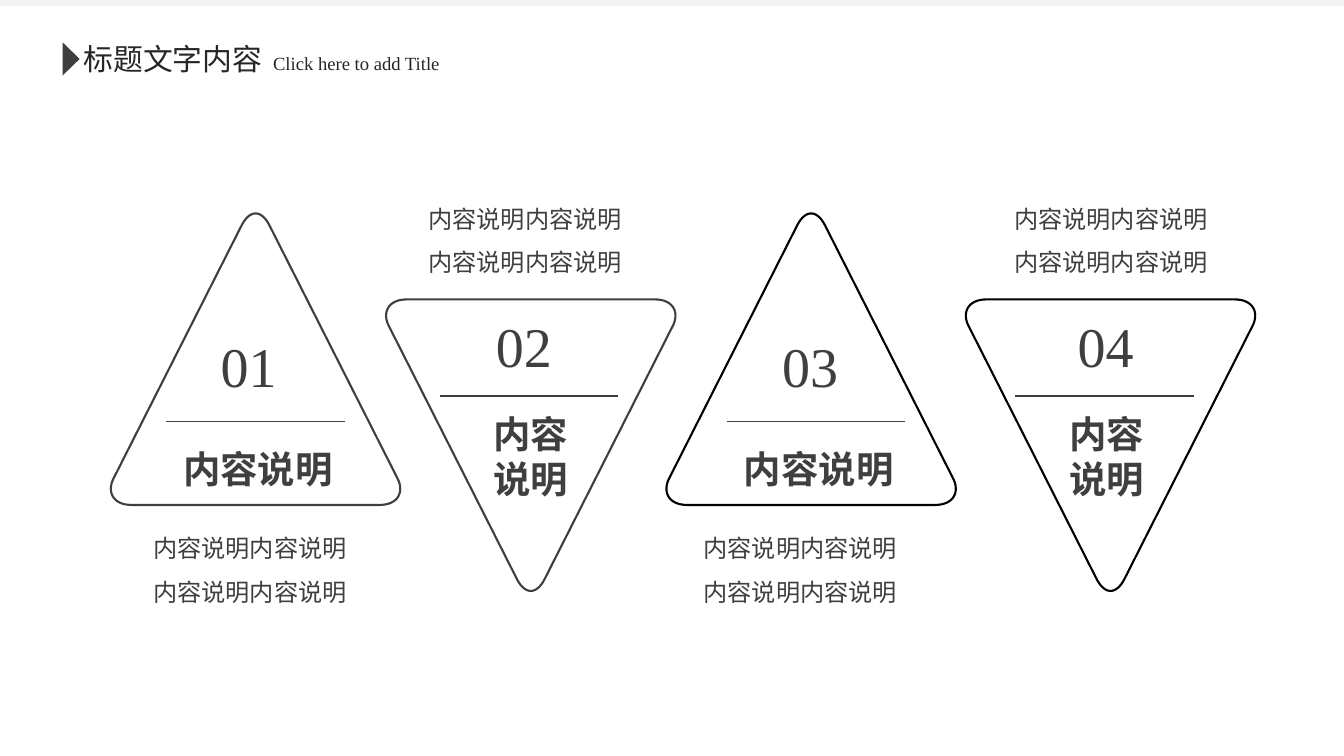
from dataclasses import dataclass

from lxml import etree
from pptx import Presentation
from pptx import util as u
from pptx.dml.color import RGBColor
from pptx.enum import shapes, text
from pptx.oxml.ns import qn

EMU_PER_PX = 9144
SLIDE_WIDTH, SLIDE_HEIGHT = 1333, 750
TRIANGLE_WIDTH, TRIANGLE_HEIGHT = 287, 289
CORNER_STEPS = 16


@dataclass(frozen=True)
class Theme:
    font: str = "Times New Roman"
    ink: str = "3F3F3F"
    heading: str = "262626"
    black: str = "000000"
    strip: str = "F2F2F2"
    number_size: float = 40
    label_size: float = 26.7
    caption_size: float = 17.3
    title_size: float = 21.3
    subtitle_size: float = 13.3
    outline_width: float = 1.5
    rule_width: float = 1


@dataclass(frozen=True)
class Item:
    number: str
    left: int
    upright: bool
    outline: str
    number_shift: int
    rule_shift: int
    caption_shift: int


@dataclass(frozen=True)
class Arrangement:
    top: int
    number_top: int
    rule_top: int
    label_box: tuple
    label_lines: tuple
    label_spacing: float
    caption_top: int


THEME = Theme()
UPRIGHT = Arrangement(212, 112, 206, (6, 203, 170, 69), ("内容说明",), 1.5, 298)
INVERTED = Arrangement(297, 7, 96, (43, 106, 95, 100), ("内容", "说明"), 1, -114)
CAPTION = ("内容说明内容说明",) * 2
ITEMS = (
    Item("01", 110, True, THEME.ink, 84, 55, 32),
    Item("03", 661, True, THEME.black, 90, 60, 27),
    Item("02", 383, False, THEME.ink, 84, 53, 32),
    Item("04", 958, False, THEME.black, 86, 49, 38),
)


def px(length):
    return u.Emu(round(length * EMU_PER_PX))


def rgb(value):
    return RGBColor.from_string(value)


def write_lines(shape, lines, size, color, bold=False, align=text.PP_ALIGN.LEFT,
                spacing=1, wrap=False):
    frame = shape.text_frame
    frame.word_wrap = wrap
    frame.auto_size = text.MSO_AUTO_SIZE.SHAPE_TO_FIT_TEXT
    frame.vertical_anchor = text.MSO_ANCHOR.TOP
    frame.text = "\n".join(lines)
    for paragraph in frame.paragraphs:
        paragraph.alignment = align
        paragraph.line_spacing = spacing
        paragraph.font.name = THEME.font
        paragraph.font.size = u.Pt(size)
        paragraph.font.bold = bold
        paragraph.font.color.rgb = rgb(color)


def add_text(slide, box, lines, size, color, **style):
    shape = slide.shapes.add_textbox(*map(px, box))
    write_lines(shape, lines, size, color, **style)


def add_solid(slide, kind, box, color):
    shape = slide.shapes.add_shape(kind, *map(px, box))
    shape.shadow.inherit = False
    shape.fill.solid()
    shape.fill.fore_color.rgb = rgb(color)
    shape.line.fill.background()
    return shape


def add_rule(slide, left, top, width):
    rule = slide.shapes.add_connector(
        shapes.MSO_CONNECTOR.STRAIGHT, px(left), px(top), px(left + width), px(top))
    rule.line.color.rgb = rgb(THEME.ink)
    rule.line.width = u.Pt(THEME.rule_width)
    etree.SubElement(rule._element.spPr, qn("a:effectLst"))


def curve(start, first, second, end):
    points = []
    for step in range(CORNER_STEPS + 1):
        t = step / CORNER_STEPS
        weights = ((1 - t) ** 3, 3 * t * (1 - t) ** 2, 3 * t * t * (1 - t), t ** 3)
        points.append(tuple(
            sum(weight * value for weight, value in zip(weights, axis))
            for axis in zip(start, first, second, end)))
    return points


def triangle_points(upright):
    right = curve((266, 289), (286, 289), (291, 275), (284, 262))
    apex = curve((157, 11), (149, -4), (138, -4), (130, 11))
    left = [(TRIANGLE_WIDTH - x, y) for x, y in reversed(right)]
    points = right + apex + left
    return points if upright else [(x, TRIANGLE_HEIGHT - y) for x, y in points]


def add_rounded_triangle(slide, left, top, upright, color):
    points = [(px(left + x), px(top + y)) for x, y in triangle_points(upright)]
    builder = slide.shapes.build_freeform(*points[0])
    builder.add_line_segments(points[1:], close=True)
    triangle = builder.convert_to_shape()
    triangle.shadow.inherit = False
    triangle.fill.background()
    triangle.line.color.rgb = rgb(color)
    triangle.line.width = u.Pt(THEME.outline_width)


def add_item(slide, item):
    plan = UPRIGHT if item.upright else INVERTED
    left, top = item.left, plan.top
    rule_left = left + item.rule_shift
    label_left, label_top, label_width, label_height = plan.label_box
    center = text.PP_ALIGN.CENTER
    add_rounded_triangle(slide, left, top, item.upright, item.outline)
    add_text(slide, (left + item.number_shift, top + plan.number_top, 105, 77),
             [item.number], THEME.number_size, THEME.ink, align=center, wrap=True)
    add_rule(slide, rule_left, top + plan.rule_top, 177)
    add_text(slide, (rule_left + label_left, top + label_top, label_width, label_height),
             plan.label_lines, THEME.label_size, THEME.ink, bold=True,
             align=center, spacing=plan.label_spacing)
    add_text(slide, (left + item.caption_shift, top + plan.caption_top, 215, 92),
             CAPTION, THEME.caption_size, THEME.ink, spacing=1.5)


def add_header(slide, left, top):
    title = slide.shapes.title
    title.left, title.top, title.width, title.height = map(px, (left + 11, top, 200, 46))
    write_lines(title, ["标题文字内容"], THEME.title_size, THEME.heading)
    marker = add_solid(slide, shapes.MSO_SHAPE.ISOSCELES_TRIANGLE,
                       (left - 8, top + 15, 33, 17), THEME.ink)
    marker.rotation = 90
    add_text(slide, (left + 199, top + 12, 188, 33), ["Click here to add Title"],
             THEME.subtitle_size, THEME.heading)


def main():
    presentation = Presentation()
    presentation.slide_width = px(SLIDE_WIDTH)
    presentation.slide_height = px(SLIDE_HEIGHT)
    slide = presentation.slides.add_slide(presentation.slide_layouts[5])
    add_solid(slide, shapes.MSO_SHAPE.RECTANGLE, (0, 0, SLIDE_WIDTH, 6), THEME.strip)
    add_header(slide, 62, 35)
    for item in ITEMS:
        add_item(slide, item)
    presentation.save("out.pptx")


if __name__ == "__main__":
    main()
